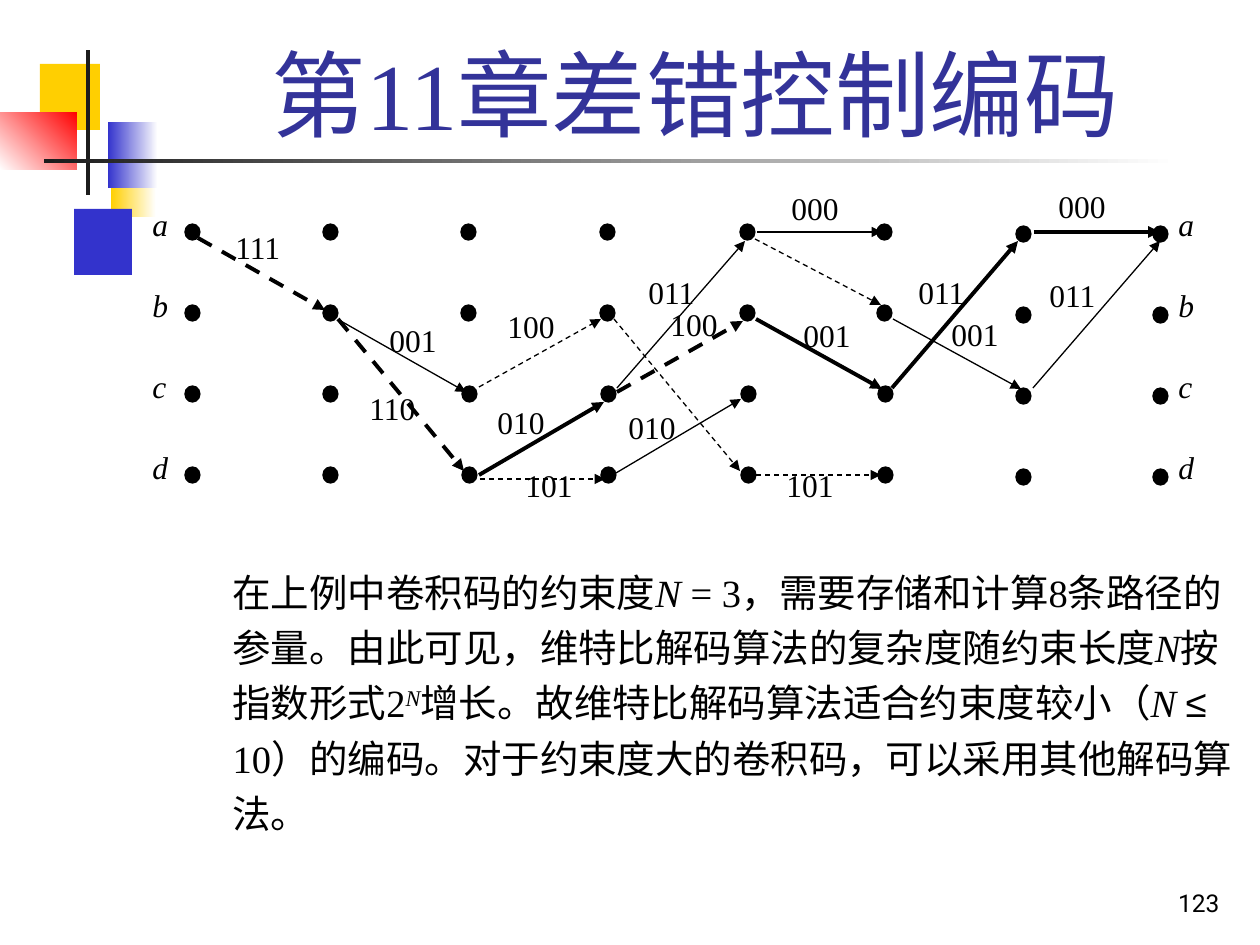
from lxml import etree
from pptx import Presentation
from pptx.dml.color import RGBColor
from pptx.enum.dml import MSO_LINE
from pptx.enum.shapes import MSO_CONNECTOR, MSO_SHAPE
from pptx.enum.text import MSO_ANCHOR, MSO_AUTO_SIZE, PP_ALIGN
from pptx.oxml.ns import qn
from pptx.util import Emu, Pt

RECT, OVAL = MSO_SHAPE.RECTANGLE, MSO_SHAPE.OVAL
STRAIGHT, DASH = MSO_CONNECTOR.STRAIGHT, MSO_LINE.DASH
LEFT, CENTER, RIGHT, JUSTIFY = PP_ALIGN.LEFT, PP_ALIGN.CENTER, PP_ALIGN.RIGHT, PP_ALIGN.JUSTIFY
TOP, BOTTOM = MSO_ANCHOR.TOP, MSO_ANCHOR.BOTTOM

WHITE = RGBColor(0xFF, 0xFF, 0xFF)
BLACK = RGBColor(0x00, 0x00, 0x00)
INK = RGBColor(0x1C, 0x1C, 0x1C)
YELLOW = RGBColor(0xFF, 0xCF, 0x01)
BLUE = RGBColor(0x33, 0x33, 0xCC)
RED = RGBColor(0xFF, 0x00, 0x00)
NAVY = RGBColor(0x33, 0x33, 0x99)
SERIF = "Times New Roman"


def px(*values):
    return [Emu(round(v * 914400 / 126)) for v in values]


def write(sp, box, runs, size, color=BLACK, align=JUSTIFY, anchor=TOP):
    sp.left, sp.top, sp.width, sp.height = px(*box)
    tf = sp.text_frame
    tf.word_wrap = True
    tf.auto_size = MSO_AUTO_SIZE.NONE
    tf.vertical_anchor = anchor
    p = tf.paragraphs[0]
    p.alignment = align
    for text, font, italic in runs:
        r = p.add_run()
        r.text = text
        r.font.name = font
        r.font.size = Pt(size)
        r.font.italic = italic
        r.font.color.rgb = color
    return p


prs = Presentation()
prs.slide_width, prs.slide_height = px(1260, 945)
s = prs.slides.add_slide(prs.slide_layouts[1])
shapes = s.shapes

decor = [
    ((111, 151, 45, 66), (WHITE, YELLOW), 180),
    ((74, 209, 58, 66), (BLUE,), 0),
    ((40, 64, 60, 66), (YELLOW,), 0),
    ((108, 122, 50, 66), (WHITE, BLUE), 180),
    ((0, 112, 77, 58), (RED, WHITE), 225),
    ((86, 50, 4, 145), (INK,), 0),
    ((44, 159, 1134, 4), (WHITE, INK), 180),
]
for box, colors, angle in decor:
    sp = shapes.add_shape(RECT, *px(*box))
    sp.shadow.inherit = False
    sp.line.fill.background()
    if len(colors) == 1:
        sp.fill.solid()
        sp.fill.fore_color.rgb = colors[0]
    else:
        sp.fill.gradient()
        sp.fill.gradient_angle = angle
        for stop, color in zip(sp.fill.gradient_stops, colors):
            stop.color.rgb = color

write(shapes.title, (159, 29, 1073, 127), [("第11章差错控制编码", SERIF, False)],
      54, NAVY, CENTER, BOTTOM)

body_runs = [
    ("在上例中卷积码的约束度", SERIF, False),
    ("N", SERIF, True),
    (" = 3，需要存储和计算8条路径的参量。由此可见，维特比解码算法的复杂度随约束长度", SERIF, False),
    ("N", SERIF, True),
    ("按指数形式2", SERIF, False),
    ("N", SERIF, True),
    ("增长。故维特比解码算法适合约束度较小（", SERIF, False),
    ("N ", SERIF, True),
    ("≤", "Arial", False),
    (" 10）的编码。对于约束度大的卷积码，可以采用其他解码算法。", SERIF, False),
]
p = write(s.placeholders[1], (0, 553, 1260, 392), body_runs, 22, align=LEFT)
p.line_spacing = 1.2
p.space_before = Pt(5.5)
p.runs[5].font._element.set("baseline", "30000")
pPr = p._p.get_or_add_pPr()
pPr.set("marL", str(px(220)[0]))
pPr.set("indent", "0")
etree.SubElement(pPr, qn("a:buNone"))

for col, x in enumerate((185, 323, 461, 600, 740, 877, 1016, 1153)):
    for row in range(4):
        dx = 1 if row > 1 and 2 <= col <= 5 else 0
        dy = 2 if col > 5 else 0
        sp = shapes.add_shape(OVAL, *px(x + dx, 224 + 81 * row + dy, 15, 16))
        sp.shadow.inherit = False
        sp.fill.solid()
        sp.fill.fore_color.rgb = BLACK
        sp.line.color.rgb = BLACK
        sp.line.width = Pt(0.75)

THIN, THICK = 0.75, 2.25
branches = [
    (480, 479, 605, 479, THIN, True),
    (616, 473, 741, 399, THIN, False),
    (892, 388, 1018, 241, THICK, False),
    (339, 320, 466, 392, THIN, False),
    (614, 319, 740, 471, THIN, True),
    (617, 388, 745, 241, THIN, False),
    (479, 387, 601, 319, THIN, True),
    (617, 392, 743, 321, THICK, True),
    (198, 238, 325, 310, THICK, True),
    (338, 319, 464, 471, THICK, True),
    (479, 475, 604, 402, THICK, False),
    (893, 319, 1021, 389, THIN, False),
    (1034, 232, 1160, 232, THICK, False),
    (1033, 388, 1160, 241, THIN, False),
    (757, 232, 882, 232, THIN, False),
    (756, 475, 881, 475, THIN, True),
    (756, 319, 882, 389, THICK, False),
    (755, 239, 881, 305, THIN, True),
]
for x1, y1, x2, y2, width, dashed in branches:
    cx = shapes.add_connector(STRAIGHT, *px(x1, y1, x2, y2))
    cx.line.color.rgb = BLACK
    cx.line.width = Pt(width)
    if dashed:
        cx.line.dash_style = DASH
    etree.SubElement(cx.line._get_or_add_ln(), qn("a:tailEnd"), type="triangle")
    etree.SubElement(cx._element.spPr, qn("a:effectLst"))

labels = [
    ("110", 357, 383), ("011", 636, 267), ("010", 485, 397), ("010", 616, 402),
    ("101", 513, 460), ("101", 774, 460), ("001", 377, 315), ("001", 791, 310),
    ("000", 779, 183), ("111", 223, 222), ("100", 658, 299), ("100", 495, 301),
    ("000", 1046, 181), ("011", 906, 267), ("011", 1037, 270), ("001", 939, 309),
]
for text, x, y in labels:
    box = (x, y, 77, 57)
    write(shapes.add_textbox(*px(*box)), box, [(text, SERIF, False)], 18)

for x in (140, 1166):
    for row, state in enumerate("abcd"):
        box = (x, 199 + 81 * row, 53, 57)
        write(shapes.add_textbox(*px(*box)), box, [(state, SERIF, True)], 18)

box = (970, 861, 262, 63)
write(shapes.add_textbox(*px(*box)), box, [("123", "Roboto", False)], 14,
      align=RIGHT, anchor=BOTTOM)

prs.save("out.pptx")
